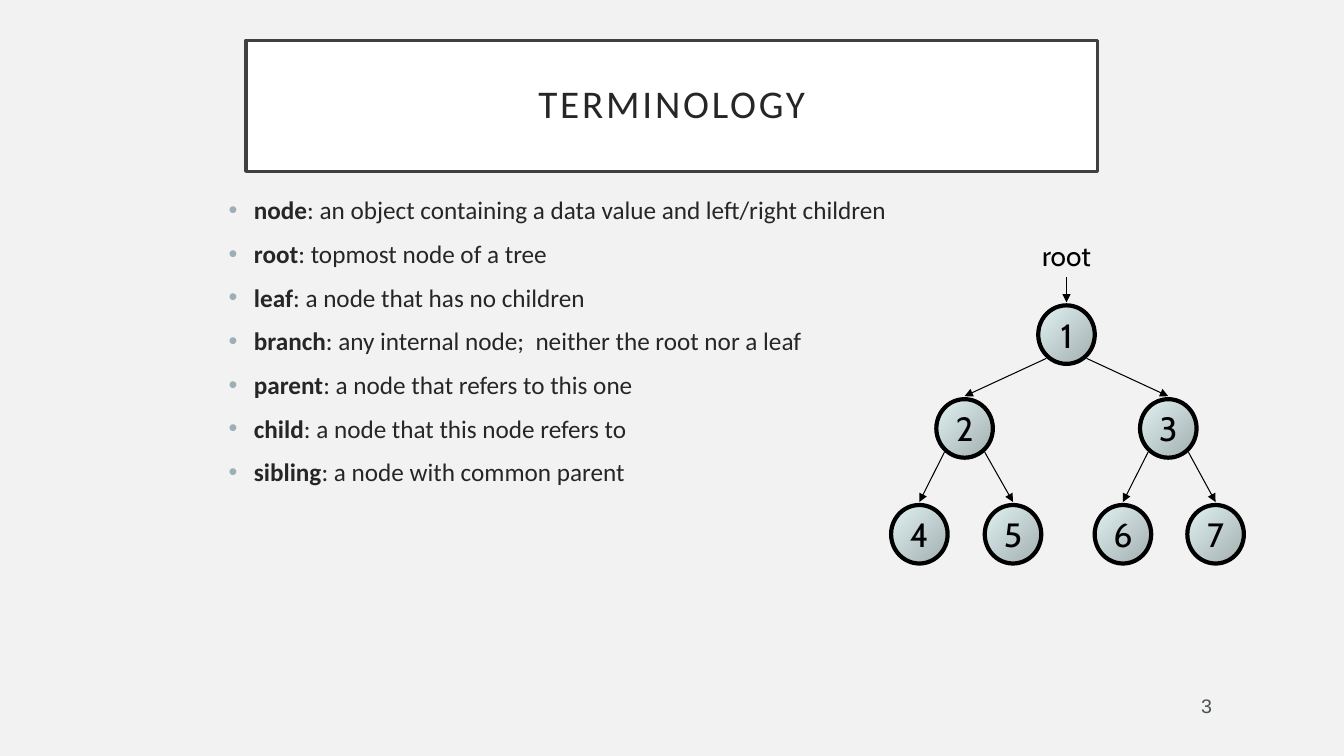
from lxml import etree
from pptx import Presentation
from pptx import util as u
from pptx.dml.color import RGBColor
from pptx.enum import shapes, text
from pptx.oxml import ns

BACKGROUND = RGBColor(0xF2, 0xF2, 0xF2)
WHITE = RGBColor(0xFF, 0xFF, 0xFF)
BLACK = RGBColor(0, 0, 0)
FRAME = RGBColor(0x40, 0x40, 0x40)
INK = RGBColor(0x26, 0x26, 0x26)
BULLET = RGBColor(0x9B, 0xAF, 0xB5)
NUMBER = RGBColor(0x4A, 0x53, 0x56)
NODE_LIGHT = RGBColor(0xE1, 0xF2, 0xF3)
NODE_DARK = RGBColor(0xA2, 0xAF, 0xAF)

TERMS = [
    ("node", "an object containing a data value and left/right children"),
    ("root", "topmost node of a tree"),
    ("leaf", "a node that has no children"),
    ("branch", "any internal node;  neither the root nor a leaf"),
    ("parent", "a node that refers to this one"),
    ("child", "a node that this node refers to"),
    ("sibling", "a node with common parent"),
]
NODES = {
    1: (761.8, 239), 2: (689, 306), 3: (834.5, 306),
    4: (656.7, 381.6), 5: (723.6, 381.6),
    6: (802.1, 381.6), 7: (868.3, 381.6),
}
NODE_WIDTH, NODE_HEIGHT = 40.4, 41.8
ARROW_INSET, ARROW_DROP, ARROW_GAP = 14.4, 17, 23


class TreeSlide:
    text_font = "Calibri"
    tree_font = "Cabin"

    def __init__(self, deck):
        self.page = deck.slides.add_slide(deck.slide_layouts[1])
        fill = self.page.background.fill
        fill.solid()
        fill.fore_color.rgb = BACKGROUND

    def place(self, box, left, top, width, height):
        box.left, box.top = u.Pt(left), u.Pt(top)
        box.width, box.height = u.Pt(width), u.Pt(height)

    def style(self, para, size, name, color, align=text.PP_ALIGN.CENTER):
        para.alignment = align
        para.font.size = u.Pt(size)
        para.font.name = name
        para.font.color.rgb = color

    def title(self, wording, *place):
        box = self.page.shapes.title
        self.place(box, *place)
        box.fill.solid()
        box.fill.fore_color.rgb = WHITE
        box.line.color.rgb = FRAME
        box.line.width = u.Pt(2.5)
        frame = box.text_frame
        frame.text = wording
        frame.vertical_anchor = text.MSO_ANCHOR.MIDDLE
        para = frame.paragraphs[0]
        para.line_spacing = 0.9
        self.style(para, 28, self.text_font, INK)
        para.runs[0].font._element.set("spc", "200")

    def bullet(self, para):
        props = para._p.get_or_add_pPr()
        props.set("marL", str(u.Pt(18)))
        props.set("indent", str(-u.Pt(18)))
        color = etree.SubElement(props, ns.qn("a:buClr"))
        etree.SubElement(color, ns.qn("a:srgbClr"), val=str(BULLET))
        etree.SubElement(props, ns.qn("a:buFont"), typeface="Arial")
        etree.SubElement(props, ns.qn("a:buChar"), char="•")

    def definitions(self, terms, *place):
        box = self.page.placeholders[1]
        self.place(box, *place)
        frame = box.text_frame
        frame.auto_size = text.MSO_AUTO_SIZE.NONE
        for index, (term, meaning) in enumerate(terms):
            para = frame.add_paragraph() if index else frame.paragraphs[0]
            self.bullet(para)
            para.space_before = u.Pt(9.6)
            self.style(para, 18, self.text_font, INK, text.PP_ALIGN.LEFT)
            for wording, bold in ((term, True), (f": {meaning}", False)):
                span = para.add_run()
                span.text = wording
                span.font.bold = bold

    def label(self, wording, size, name, color, *place):
        box = self.page.shapes.add_textbox(*map(u.Pt, place))
        frame = box.text_frame
        frame.word_wrap = False
        frame.vertical_anchor = text.MSO_ANCHOR.MIDDLE
        frame.text = wording
        self.style(frame.paragraphs[0], size, name, color)

    def node(self, key, x, y):
        place = (x - NODE_WIDTH / 2, y - NODE_HEIGHT / 2, NODE_WIDTH, NODE_HEIGHT)
        oval = self.page.shapes.add_shape(shapes.MSO_SHAPE.OVAL, *map(u.Pt, place))
        oval.shadow.inherit = False
        oval.fill.gradient()
        oval.fill.gradient_angle = 315
        for stop, position, color in zip(
            oval.fill.gradient_stops, (0, 1), (NODE_LIGHT, NODE_DARK)
        ):
            stop.position = position
            stop.color.rgb = color
        oval.line.color.rgb = BLACK
        oval.line.width = u.Pt(3)
        frame = oval.text_frame
        frame.word_wrap = False
        frame.vertical_anchor = text.MSO_ANCHOR.MIDDLE
        frame.text = str(key)
        self.style(frame.paragraphs[0], 24, self.tree_font, BLACK)

    def arrow(self, *ends):
        line = self.page.shapes.add_connector(
            shapes.MSO_CONNECTOR.STRAIGHT, *map(u.Pt, ends)
        )
        line.line.color.rgb = BLACK
        line.line.width = u.Pt(0.75)
        etree.SubElement(line.line._get_or_add_ln(), ns.qn("a:tailEnd"), type="triangle")
        etree.SubElement(line._element.spPr, ns.qn("a:effectLst"))

    def tree(self, nodes):
        for key, (x, y) in nodes.items():
            self.node(key, x, y)
            if key > 1:
                parent_x, parent_y = nodes[key // 2]
                side = 1 if key % 2 else -1
                self.arrow(parent_x + side * ARROW_INSET, parent_y + ARROW_DROP,
                           x, y - ARROW_GAP)
        root_x, root_y = nodes[1]
        self.label("root", 20, self.tree_font, BLACK, root_x - 25.2, 167, 50.4, 31)
        self.arrow(root_x, 198, root_x, root_y - ARROW_GAP)


def main():
    deck = Presentation()
    deck.slide_width, deck.slide_height = u.Pt(960), u.Pt(540)
    slide = TreeSlide(deck)
    slide.title("TERMINOLOGY", 175.7, 28.8, 608.4, 93.6)
    slide.definitions(TERMS, 156.2, 135.4, 648, 297.4)
    slide.tree(NODES)
    slide.label("3", 14, "Arial", NUMBER, 847.4, 489.6, 28.8, 28.8)
    deck.save("out.pptx")


if __name__ == "__main__":
    main()
